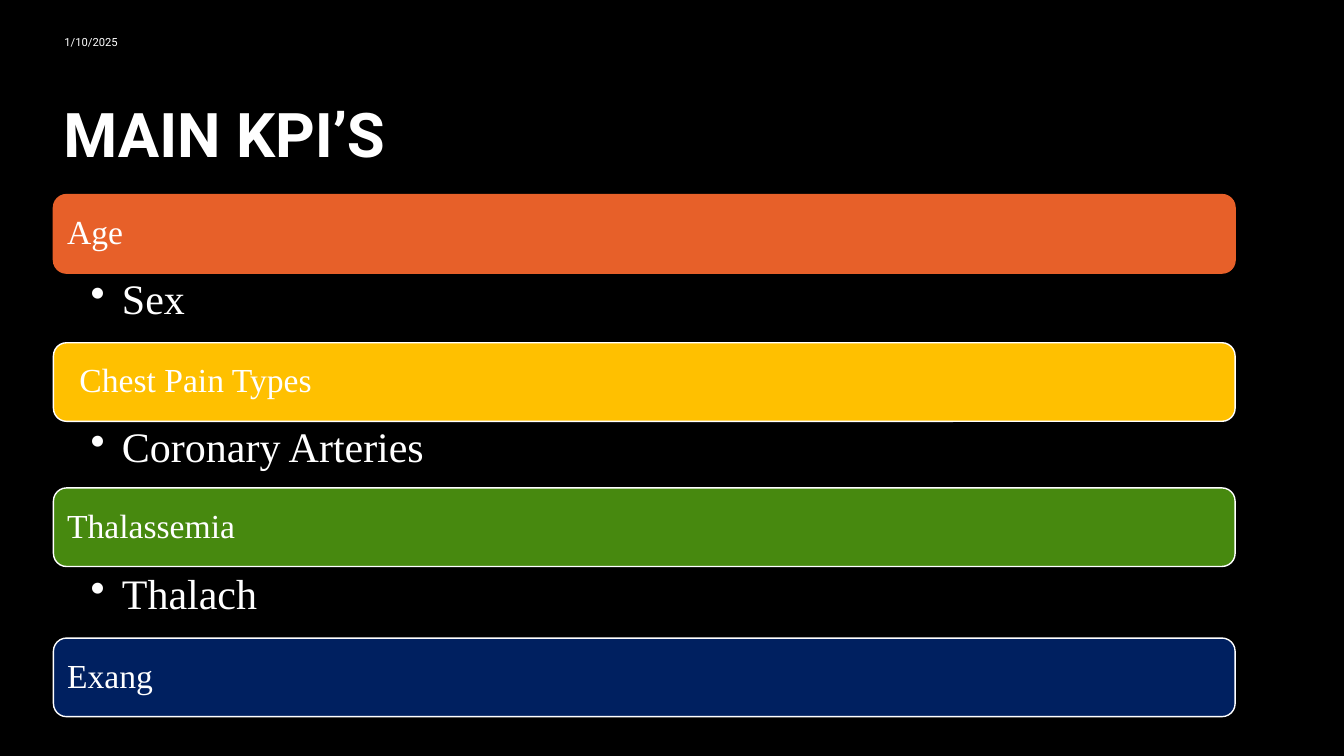
from lxml.etree import SubElement
from pptx import Presentation
from pptx.dml.color import RGBColor
from pptx.enum.shapes import MSO_SHAPE
from pptx.enum.text import MSO_ANCHOR, PP_ALIGN
from pptx.oxml.ns import qn
from pptx.util import Pt

PX = 9144
BLACK = RGBColor(0x00, 0x00, 0x00)
WHITE = RGBColor(0xFF, 0xFF, 0xFF)
ORANGE = RGBColor(0xE7, 0x60, 0x29)
YELLOW = RGBColor(0xFF, 0xC0, 0x00)
GREEN = RGBColor(0x47, 0x89, 0x0F)
NAVY = RGBColor(0x00, 0x20, 0x60)

HEADING_FONT = "Roboto"
BODY_FONT = "Times New Roman"
BAR_HEIGHT = 78
DETAIL_HEIGHT = 69

BARS = [
    ("Age", 193, 10, ORANGE, ORANGE),
    ("Chest Pain Types", 340, 22, YELLOW, WHITE),
    ("Thalassemia", 484, 10, GREEN, WHITE),
    ("Exang", 633, 10, NAVY, WHITE),
]
DETAILS = [("Sex", 271), ("Coronary Arteries", 418), ("Thalach", 564)]


def write_text(shape, text, font, size, anchor, insets, bold=False, line_spacing=0.9):
    frame = shape.text_frame
    frame.word_wrap = True
    frame.vertical_anchor = anchor
    left, top, right, bottom = insets
    frame.margin_left, frame.margin_top = left * PX, top * PX
    frame.margin_right, frame.margin_bottom = right * PX, bottom * PX
    frame.text = text
    paragraph = frame.paragraphs[0]
    paragraph.alignment = PP_ALIGN.LEFT
    paragraph.line_spacing = line_spacing
    run_font = paragraph.runs[0].font
    run_font.name = font
    run_font.size = Pt(size)
    run_font.bold = bold
    run_font.color.rgb = WHITE
    return paragraph


def add_text_box(slide, box):
    return slide.shapes.add_textbox(*(length * PX for length in box))


def add_header(slide, left, top, width, height):
    title = add_text_box(slide, (left, top, width, height))
    write_text(title, "MAIN KPI’S", HEADING_FONT, 44, MSO_ANCHOR.BOTTOM,
               (10, 5, 10, 5), bold=True)
    date = add_text_box(slide, (left + 1, top + 7, 300, 35))
    write_text(date, "1/10/2025", HEADING_FONT, 8, MSO_ANCHOR.MIDDLE,
               (10, 5, 10, 5), line_spacing=1.0)


def add_bar(slide, box, text, inset, fill, line):
    bar = slide.shapes.add_shape(MSO_SHAPE.ROUNDED_RECTANGLE,
                                 *(length * PX for length in box))
    bar.shadow.inherit = False
    bar.fill.solid()
    bar.fill.fore_color.rgb = fill
    bar.line.color.rgb = line
    bar.line.width = Pt(1)
    write_text(bar, text, BODY_FONT, 24, MSO_ANCHOR.MIDDLE, (inset, 10, 10, 10))


def add_detail(slide, box, text):
    detail = add_text_box(slide, box)
    paragraph = write_text(detail, text, BODY_FONT, 30, MSO_ANCHOR.TOP, (37, 5, 30, 5))
    paragraph.level = 1
    properties = paragraph._p.get_or_add_pPr()
    properties.set("marL", str(31 * PX))
    properties.set("indent", str(-31 * PX))
    SubElement(properties, qn("a:buChar")).set("char", "•")


def add_kpi_list(slide, left, width):
    for text, top, inset, fill, line in BARS:
        add_bar(slide, (left, top, width, BAR_HEIGHT), text, inset, fill, line)
    for text, top in DETAILS:
        add_detail(slide, (left, top, width, DETAIL_HEIGHT), text)


def main():
    presentation = Presentation()
    presentation.slide_width = 1333 * PX
    presentation.slide_height = 750 * PX
    slide = presentation.slides.add_slide(presentation.slide_layouts[6])
    slide.background.fill.solid()
    slide.background.fill.fore_color.rgb = BLACK
    add_header(slide, 53, 17, 1089, 157)
    add_kpi_list(slide, 53, 1172)
    presentation.save("out.pptx")


if __name__ == "__main__":
    main()
